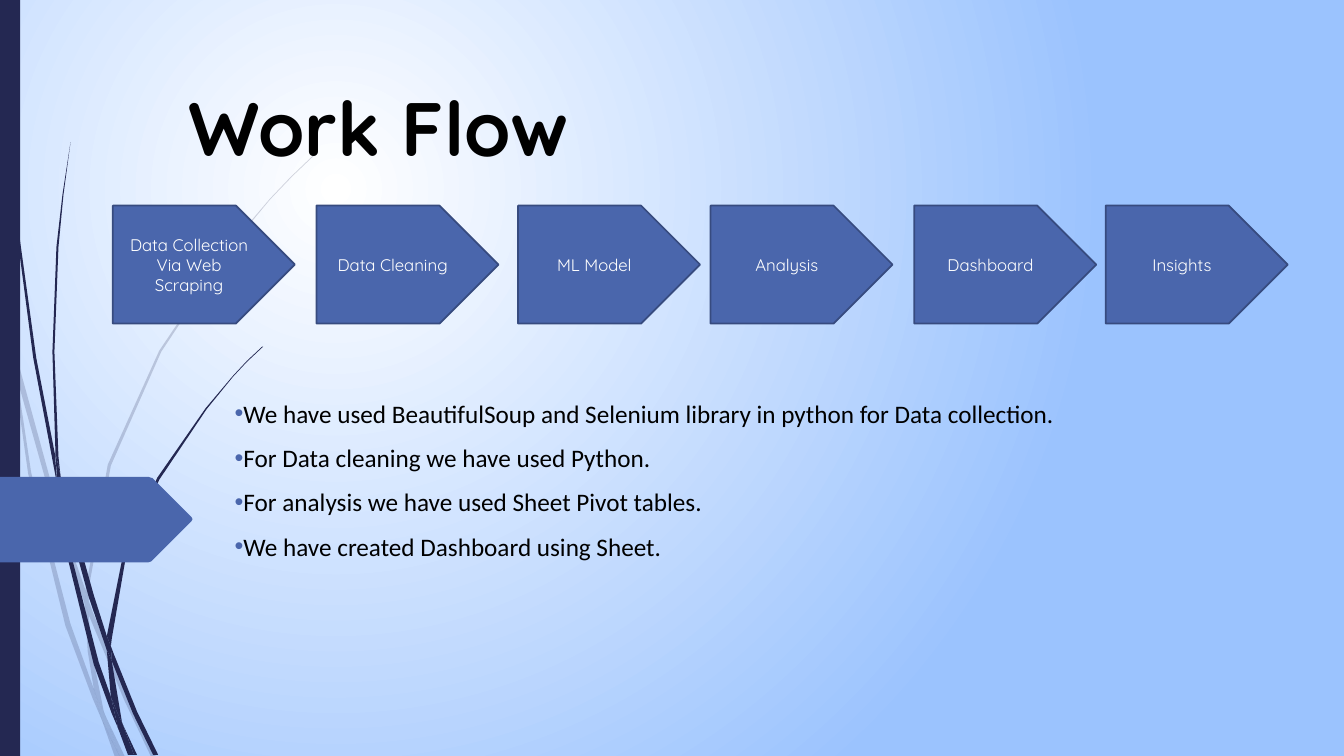
"""Build the Work Flow slide: six process steps over a grass-blade backdrop."""
from dataclasses import dataclass

from lxml.etree import SubElement
from pptx import Presentation
from pptx.dml.color import RGBColor as Rgb
from pptx.enum.shapes import MSO_SHAPE as Preset
from pptx.enum.text import MSO_ANCHOR as Anchor, PP_ALIGN as Align
from pptx.oxml.ns import qn
from pptx.util import Pt


@dataclass(frozen=True)
class Theme:
    navy: Rgb = Rgb.from_string("242852")
    blue: Rgb = Rgb.from_string("4A66AC")
    edge: Rgb = Rgb.from_string("374B7F")
    sky: Rgb = Rgb.from_string("9BC3FE")
    white: Rgb = Rgb.from_string("FFFFFF")
    black: Rgb = Rgb.from_string("000000")
    display: str = "Quicksand"
    body: str = "Calibri"
    title_size: int = 54
    step_size: int = 12
    point_size: int = 18


theme = Theme()
OUTLINE_UNIT = Pt(0.72)

deck = Presentation()
deck.slide_width, deck.slide_height = Pt(960), Pt(540)
slide = deck.slides.add_slide(deck.slide_layouts[6])
shapes = slide.shapes


def draw_outline(outline, color, opacity=100):
    """Fill a closed outline given in outline units."""
    corners = [tuple(map(int, corner.split(","))) for corner in outline.split()]
    builder = shapes.build_freeform(*corners[0], scale=OUTLINE_UNIT)
    builder.add_line_segments(corners[1:], close=True)
    blade = builder.convert_to_shape()
    blade.shadow.inherit = False
    blade.line.fill.background()
    blade.fill.solid()
    blade.fill.fore_color.rgb = color
    if opacity < 100:
        tint = blade._element.spPr.find(qn("a:solidFill"))[0]
        SubElement(tint, qn("a:alpha"), val=str(opacity * 1000))


def style_text(paragraph, family, size, color, bold=False):
    """Set the type of every run in a paragraph."""
    for run in paragraph.runs:
        run.font.name, run.font.size, run.font.bold = family, Pt(size), bold
        run.font.color.rgb = color


sky = slide.background.fill
sky.gradient()
for stop, color in zip(sky.gradient_stops, (theme.white, theme.sky)):
    stop.color.rgb = color
gradient = slide._element.find(".//" + qn("a:gradFill"))
gradient.remove(gradient.find(qn("a:lin")))
glow = SubElement(gradient, qn("a:path"), path="circle")
SubElement(glow, qn("a:fillToRect"), l="50000", t="50000", r="100000", b="100000")

pale_blades = [
    "11,350 9,322 0,282 0,299 10,344",
    "58,522 84,599 85,586 62,520 14,345 17,376",
    "92,607 88,596 88,610 123,694 150,751 155,751 127,692",
    "119,751 124,751 105,711",
    "93,683 70,619 31,469 17,376 11,350 28,470 65,621 92,693 101,714 99,707",
    "84,599 87,646 93,683 96,692 105,711 103,706 91,646 88,610 88,608",
    "88,584 110,462 160,349 229,245 268,198 290,175 312,154 312,153 289,175 268,197 228,244 "
    "158,348 107,461 85,584 85,586 88,596",
    "101,714 114,751 119,751",
    "88,608 88,610 88,596 85,586 84,599",
    "96,692 93,683 99,707 101,714 119,751 105,711",
]
dark_blades = [
    "7,110 17,233 33,355 56,477 57,481 55,457 55,453 36,355 19,232 8,109 5,48 4,0 3,0 4,48",
    "88,592 106,645 106,633 106,631 93,590 60,472 64,505",
    "113,649 110,641 111,656 132,708 152,749 157,749 136,706",
    "110,691 98,657 72,556 64,505 57,477 68,557 93,659 111,708 117,722 116,717",
    "60,472 58,453 54,349 58,245 63,193 70,141 62,193 56,245 52,349 55,449",
    "133,749 136,749 122,719",
    "57,477 64,505 60,472 55,449 55,453",
    "111,633 125,552 158,476 205,406 231,374 245,359 261,344 260,344 245,358 231,373 204,405 "
    "156,474 122,551 106,631 110,641",
    "117,722 127,749 131,749",
    "106,645 110,691 116,706 122,719 121,716 111,656 109,651",
    "106,645 109,651 111,656 110,641 106,631 106,633",
    "116,706 110,691 116,717 117,722 130,749 133,749 122,719",
]
for outline in pale_blades:
    draw_outline(outline, theme.navy, 20)
for outline in dark_blades:
    draw_outline(outline, theme.navy)

spine = shapes.add_shape(Preset.RECTANGLE, Pt(0), Pt(0), Pt(14.4), Pt(540))
spine.shadow.inherit = False
spine.fill.solid()
spine.fill.fore_color.rgb = theme.navy
spine.line.fill.background()

draw_outline("147,558 150,557 151,556 190,517 191,515 190,513 151,474 150,474 147,473 0,473 0,558",
             theme.blue)

heading = shapes.add_textbox(Pt(127.44), Pt(11.5), Pt(792), Pt(114.5)).text_frame
heading.word_wrap = True
heading.vertical_anchor = Anchor.BOTTOM
heading.text = "Work Flow"
style_text(heading.paragraphs[0], theme.display, theme.title_size, theme.black, bold=True)

steps = [
    (80.64, "Data Collection Via Web Scraping"),
    (226.08, "Data Cleaning"),
    (370.08, "ML Model"),
    (507.6, "Analysis"),
    (653.04, "Dashboard"),
    (789.84, "Insights"),
]
for left, label in steps:
    step = shapes.add_shape(Preset.PENTAGON, Pt(left), Pt(146.88), Pt(130), Pt(84.24))
    step.shadow.inherit = False
    step.fill.solid()
    step.fill.fore_color.rgb = theme.blue
    step.line.color.rgb = theme.edge
    step.line.width = Pt(1.25)
    step.text_frame.word_wrap = True
    step.text_frame.vertical_anchor = Anchor.MIDDLE
    step.text_frame.text = label
    step.text_frame.paragraphs[0].alignment = Align.CENTER
    style_text(step.text_frame.paragraphs[0], theme.display, theme.step_size, theme.white)

tools_used = shapes.add_textbox(Pt(160.56), Pt(280.8), Pt(792), Pt(157.68)).text_frame
tools_used.word_wrap = True
tools_used.text = "\n".join([
    "We have used BeautifulSoup and Selenium library in python for Data collection.",
    "For Data cleaning we have used Python.",
    "For analysis we have used Sheet Pivot tables.",
    "We have created Dashboard using Sheet.",
])
for point in tools_used.paragraphs:
    point.space_before = Pt(10)
    style_text(point, theme.body, theme.point_size, theme.black)
    layout = point._p.get_or_add_pPr()
    bullet_color = SubElement(layout, qn("a:buClr"))
    SubElement(bullet_color, qn("a:srgbClr"), val=str(theme.blue))
    SubElement(layout, qn("a:buFont"), typeface="Arial")
    SubElement(layout, qn("a:buChar"), char="•")

deck.save("out.pptx")
